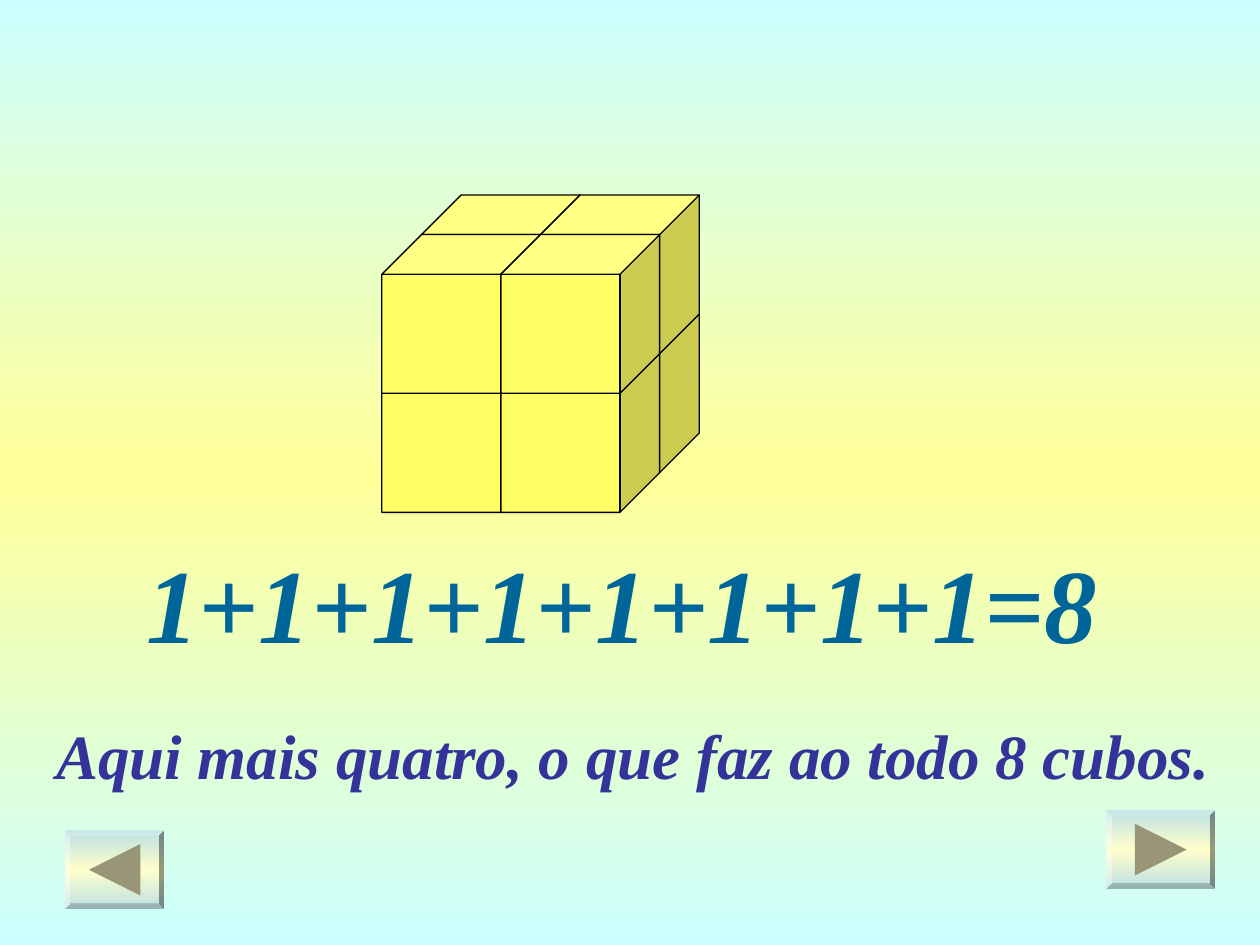
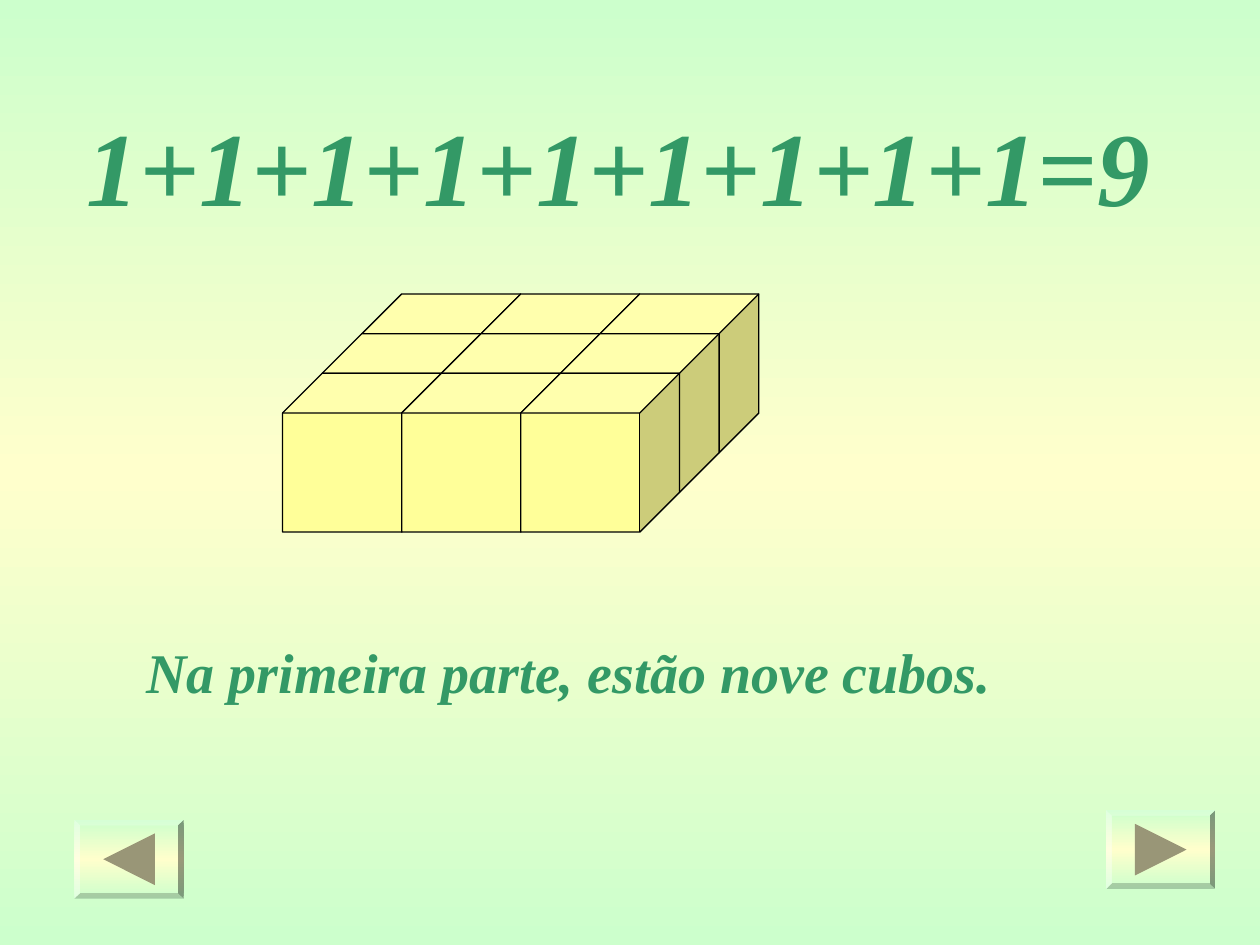
from copy import deepcopy
from itertools import product

from pptx import Presentation
from pptx.dml.color import RGBColor
from pptx.enum.shapes import MSO_SHAPE
from pptx.enum.text import MSO_ANCHOR, MSO_AUTO_SIZE, PP_ALIGN
from pptx.util import Pt

FONT = "Times New Roman"
AQUA = RGBColor(0xCC, 0xFF, 0xFF)
MINT = RGBColor(0xCC, 0xFF, 0xCC)
TEAL = RGBColor(0xBB, 0xE0, 0xE3)
CREAM = RGBColor(0xFF, 0xFF, 0xCC)
LEMON = RGBColor(0xFF, 0xFF, 0x99)
YELLOW = RGBColor(0xFF, 0xFF, 0x66)
BLACK = RGBColor(0x00, 0x00, 0x00)
OLIVE = RGBColor(0x99, 0x96, 0x77)
BLUE = RGBColor(0x00, 0x66, 0x99)
INDIGO = RGBColor(0x33, 0x33, 0x99)
GREEN = RGBColor(0x33, 0x99, 0x66)

SIDE = 90.72
DEPTH = SIDE / 4
FACE = SIDE - DEPTH
RIM = 3.15
ARROW = 14.75


def shade(fill, root, edge, middle):
    """Fill with a vertical blend from edge to middle and back."""
    fill.gradient()
    fill.gradient_angle = 90
    first = root.xpath(".//a:gsLst/a:gs")[0]
    first.addnext(deepcopy(first))
    for stop, place, color in zip(fill.gradient_stops, (0, 0.5, 1), (edge, middle, edge)):
        stop.position = place
        stop.color.rgb = color


def write(shape, box, text, size, color):
    """Place a text shape and give it the bold italic style."""
    shape.left, shape.top, shape.width, shape.height = map(Pt, box)
    frame = shape.text_frame
    frame.text = text
    frame.word_wrap = True
    frame.auto_size = MSO_AUTO_SIZE.NONE
    frame.vertical_anchor = MSO_ANCHOR.TOP
    line = frame.paragraphs[0]
    line.alignment = PP_ALIGN.LEFT
    font = line.runs[0].font
    font.name, font.size = FONT, Pt(size)
    font.bold = font.italic = True
    font.color.rgb = color


def stack(slide, left, top, counts, color):
    """Pile cubes from back to front, given columns, levels and rows."""
    cols, levels, rows = counts
    for row, level, col in product(range(rows), reversed(range(levels)), range(cols)):
        x = left + col * FACE + (rows - 1 - row) * DEPTH
        y = top + level * FACE + row * DEPTH
        cube = slide.shapes.add_shape(MSO_SHAPE.CUBE, Pt(x), Pt(y), Pt(SIDE), Pt(SIDE))
        cube.adjustments[0] = 0.25
        cube.shadow.inherit = False
        cube.fill.solid()
        cube.fill.fore_color.rgb = color
        cube.line.color.rgb = BLACK
        cube.line.width = Pt(0.75)


def button(slide, box, edge, turn):
    """Draw a bevelled button whose arrow points right (1) or left (-1)."""
    left, top, width, height = box
    plate = slide.shapes.add_shape(MSO_SHAPE.BEVEL, *map(Pt, box))
    plate.adjustments[0] = RIM / height
    shade(plate.fill, plate.element, edge, CREAM)
    x, y = left + width / 2, top + height / 2
    base, tip = x - turn * ARROW, x + turn * ARROW
    pen = slide.shapes.build_freeform(Pt(base), Pt(y - ARROW))
    pen.add_line_segments([(Pt(tip), Pt(y)), (Pt(base), Pt(y + ARROW))])
    arrow = pen.convert_to_shape()
    arrow.fill.solid()
    arrow.fill.fore_color.rgb = OLIVE
    for part in (plate, arrow):
        part.shadow.inherit = False
        part.line.fill.background()


def lesson(deck, ground, total, pile, note, edge, back):
    """Add one counting slide with its sum, cubes, caption and buttons."""
    slide = deck.slides.add_slide(deck.slide_layouts[5])
    shade(slide.background.fill, slide.element, *ground)
    write(slide.shapes.title, *total)
    stack(slide, *pile)
    box = slide.shapes.add_textbox(0, 0, 0, 0)
    write(box, *note)
    button(slide, (632, 463, 62.5, 45), edge, 1)
    button(slide, back, edge, -1)


def main():
    """Build and save the two slides."""
    deck = Presentation()
    deck.slide_width, deck.slide_height = Pt(720), Pt(540)
    lesson(
        deck,
        (AQUA, LEMON),
        ((76.5, 304, 595, 79), "1+1+1+1+1+1+1+1=8", 60, BLUE),
        (218.2, 111.4, (2, 2, 2), YELLOW),
        ((25, 406, 675, 50), "Aqui mais quatro, o que faz ao todo 8 cubos.", 36, INDIGO),
        TEAL,
        (37, 474.5, 57, 45),
    )
    lesson(
        deck,
        (MINT, CREAM),
        ((42.5, 54.5, 641, 79), "1+1+1+1+1+1+1+1+1=9", 60, GREEN),
        (161.5, 168, (3, 1, 3), LEMON),
        ((76.5, 361, 567, 46), "Na primeira parte, estão nove cubos.", 32, GREEN),
        MINT,
        (42.5, 468.5, 62.5, 45),
    )
    deck.save("out.pptx")


if __name__ == "__main__":
    main()
